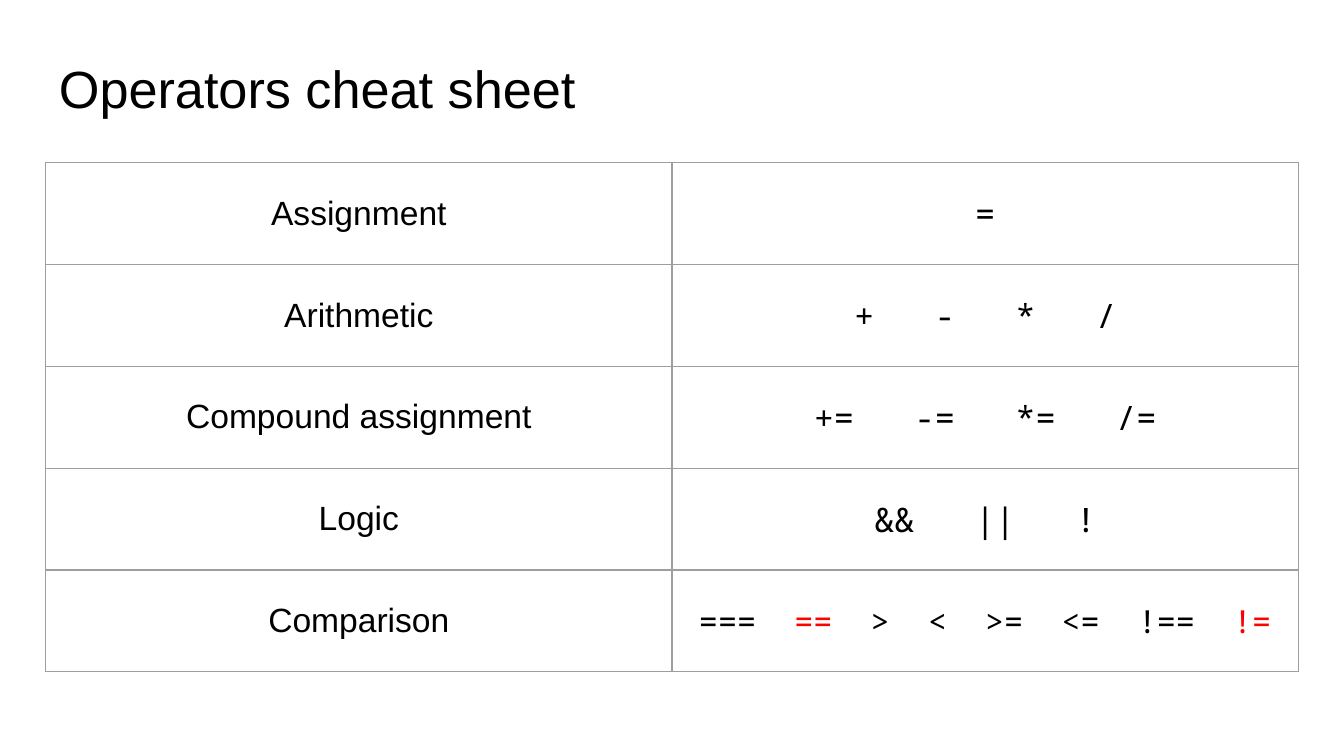
from dataclasses import dataclass

from lxml.etree import SubElement
from pptx import Presentation
from pptx.dml.color import RGBColor
from pptx.enum.text import MSO_ANCHOR as Anchor, PP_ALIGN as Align
from pptx.oxml.ns import qn
from pptx.util import Inches, Pt

COLORS = {"text": "000000", "discouraged": "FF0000", "border": "9E9E9E"}
TEXT_FONT = "Arial"
CODE_FONT = "Noto Sans Mono"
CODE_ADVANCE = 0.6
SLIDE_WIDTH = 10
SLIDE_HEIGHT = SLIDE_WIDTH * 9 / 16
LEFT, TABLE_TOP = 0.34, 1.21
COLUMN_WIDTH, TABLE_HEIGHT = 4.66, 3.79
PADDING = Inches(0.1)
DISCOURAGED = {"==", "!="}


@dataclass(frozen=True)
class OperatorGroup:
    """A named family of operators and how it is typeset."""

    name: str
    operators: str
    size: int = 18
    gap: int = 3


GROUPS = [
    OperatorGroup("Assignment", "="),
    OperatorGroup("Arithmetic", "+ - * /"),
    OperatorGroup("Compound assignment", "+= -= *= /="),
    OperatorGroup("Logic", "&& || !"),
    OperatorGroup("Comparison", "=== == > < >= <= !== !=", size=17, gap=2),
]


def add_run(paragraph, text: str, font: str, size: float, color: str = "text"):
    """Append a styled run and return it."""
    run = paragraph.add_run()
    run.text = text
    run.font.name = font
    run.font.size = Pt(size)
    run.font.color.rgb = RGBColor.from_string(COLORS[color])
    return run


def add_operators(paragraph, group: OperatorGroup) -> None:
    """Set the operators apart with spaces widened to the group's gap."""
    extra = round((group.gap - 1) * CODE_ADVANCE * group.size * 100)
    for index, operator in enumerate(group.operators.split()):
        if index:
            space = add_run(paragraph, " ", CODE_FONT, group.size)
            space.font._element.set("spc", str(extra))
        color = "discouraged" if operator in DISCOURAGED else "text"
        add_run(paragraph, operator, CODE_FONT, group.size, color)


def set_padding(container) -> None:
    """Give a cell or text frame equal margins."""
    for side in ("left", "right", "top", "bottom"):
        setattr(container, f"margin_{side}", PADDING)


def style_cell(cell) -> None:
    """Centre a cell's text and outline the cell without a fill."""
    set_padding(cell)
    cell.vertical_anchor = Anchor.MIDDLE
    cell.text_frame.paragraphs[0].alignment = Align.CENTER
    properties = cell._tc.get_or_add_tcPr()
    for side in ("L", "R", "T", "B"):
        line = SubElement(properties, qn(f"a:ln{side}"), w=str(Pt(0.75)))
        fill = SubElement(line, qn("a:solidFill"))
        SubElement(fill, qn("a:srgbClr"), val=COLORS["border"])
    cell.fill.background()


def add_title(slide, text: str) -> None:
    """Add the slide heading."""
    box = slide.shapes.add_textbox(
        Inches(LEFT), Inches(0.32), Inches(2 * COLUMN_WIDTH), Inches(0.63)
    )
    frame = box.text_frame
    frame.word_wrap = True
    set_padding(frame)
    add_run(frame.paragraphs[0], text, TEXT_FONT, 28)


def add_operator_table(slide, groups: list[OperatorGroup]) -> None:
    """Add a table with one row per operator group."""
    table = slide.shapes.add_table(
        len(groups), 2, Inches(LEFT), Inches(TABLE_TOP),
        Inches(2 * COLUMN_WIDTH), Inches(TABLE_HEIGHT),
    ).table
    table.first_row = False
    table.horz_banding = False
    for column in table.columns:
        column.width = Inches(COLUMN_WIDTH)
    for row, group in zip(table.rows, groups):
        row.height = Inches(TABLE_HEIGHT / len(groups))
        name_cell, operator_cell = row.cells
        style_cell(name_cell)
        style_cell(operator_cell)
        add_run(name_cell.text_frame.paragraphs[0], group.name, TEXT_FONT, 18)
        add_operators(operator_cell.text_frame.paragraphs[0], group)


def main() -> None:
    """Build and save the presentation."""
    presentation = Presentation()
    presentation.slide_width = Inches(SLIDE_WIDTH)
    presentation.slide_height = Inches(SLIDE_HEIGHT)
    slide = presentation.slides.add_slide(presentation.slide_layouts[6])
    add_title(slide, "Operators cheat sheet")
    add_operator_table(slide, GROUPS)
    presentation.save("out.pptx")


if __name__ == "__main__":
    main()
